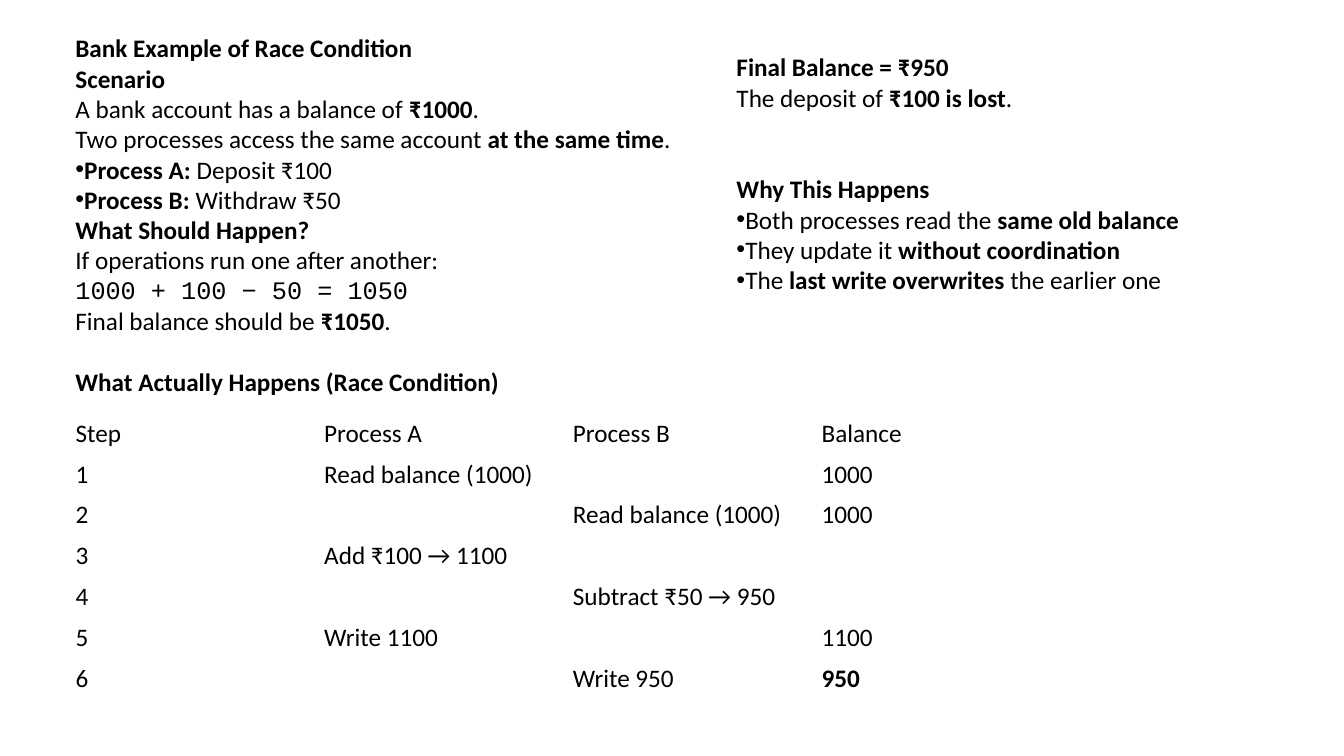
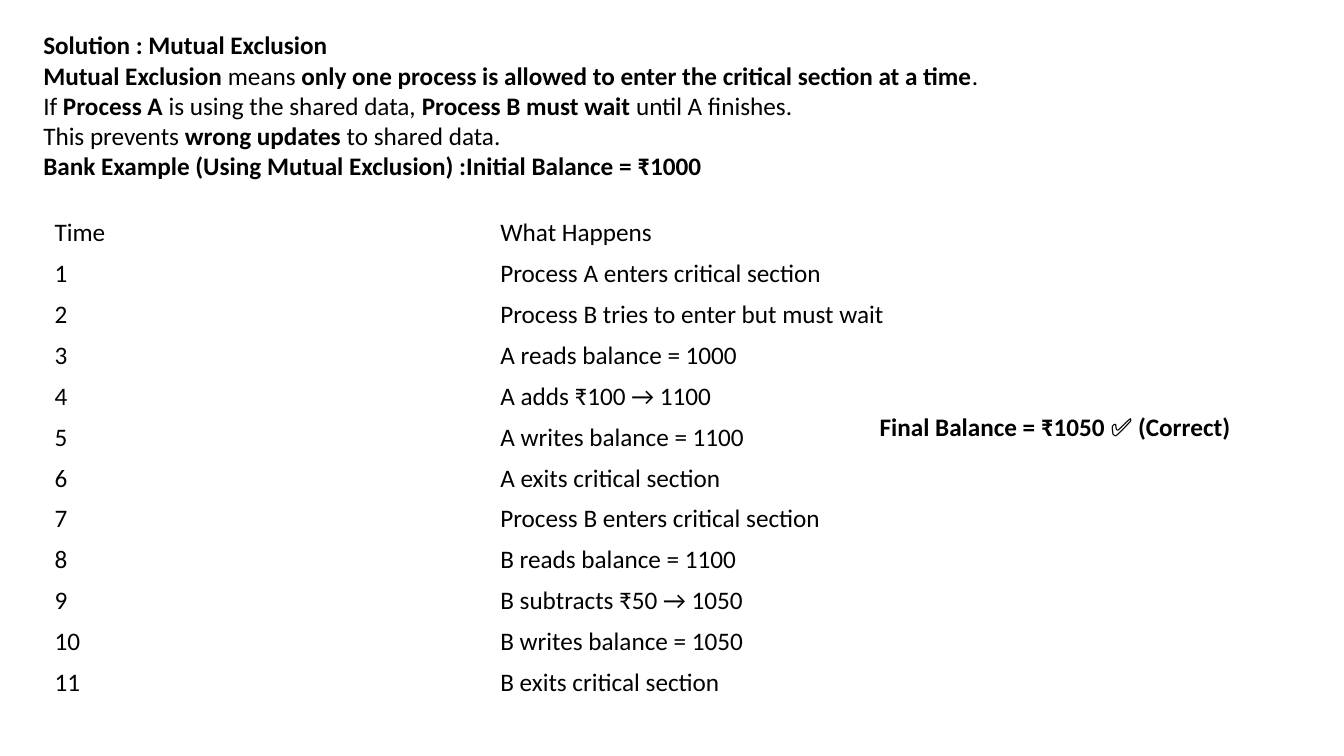
import dataclasses
import pptx
import pptx.dml.color
import pptx.enum.text
import pptx.oxml.ns
import pptx.util
import lxml.etree

Cm, Pt = pptx.util.Cm, pptx.util.Pt
ENUM = pptx.enum.text


@dataclasses.dataclass(frozen=True)
class Theme:
    """Hold the shared colours, fonts, sizes and spacing."""
    ink: str = "000000"
    paper: str = "FFFFFF"
    sans: str = "Calibri"
    mono: str = "Courier New"
    size: float = 18
    gap: float = 22
    line: float = 0.77
    row: float = 1.02


LOOK = Theme()
FRAME = {
    "word_wrap": True,
    "auto_size": ENUM.MSO_AUTO_SIZE.NONE,
    "vertical_anchor": ENUM.MSO_ANCHOR.TOP,
    "margin_left": Cm(0.25),
    "margin_right": Cm(0.25),
    "margin_top": 0,
    "margin_bottom": 0,
}
PARA = {
    "alignment": ENUM.PP_ALIGN.LEFT,
    "line_spacing": 1.0,
    "space_before": Pt(0),
    "space_after": Pt(0),
}
KINDS = {
    "text": {},
    "list": {},
    "code": {},
    "part": {"space_before": Pt(LOOK.gap)},
    "break": {"space_before": Pt(2 * LOOK.gap)},
}

BANK = {
    "head": "Bank Example of Race Condition",
    "left": [
        ("text", "*Scenario*"),
        ("text", "A bank account has a balance of *₹1000*."),
        ("text", "Two processes access the same account *at the same time*."),
        ("list", "*Process A:* Deposit ₹100"),
        ("list", "*Process B:* Withdraw ₹50"),
        ("text", "*What Should Happen?*"),
        ("text", "If operations run one after another:"),
        ("code", "1000 + 100 − 50 = 1050"),
        ("text", "Final balance should be *₹1050*."),
        ("part", "*What Actually Happens (Race Condition)*"),
    ],
    "right": [
        ("text", "*Final Balance = ₹950*"),
        ("text", "The deposit of *₹100 is lost*."),
        ("break", "*Why This Happens*"),
        ("list", "Both processes read the *same old balance*"),
        ("list", "They update it *without coordination*"),
        ("list", "The *last write overwrites* the earlier one"),
    ],
    "rows": [
        ("Step", "Process A", "Process B", "Balance"),
        ("1", "Read balance (1000)", "", "1000"),
        ("2", "", "Read balance (1000)", "1000"),
        ("3", "Add ₹100 → 1100", "", ""),
        ("4", "", "Subtract ₹50 → 950", ""),
        ("5", "Write 1100", "", "1100"),
        ("6", "", "Write 950", "*950*"),
    ],
}
MUTEX = {
    "head": "Solution : Mutual Exclusion",
    "body": [
        ("text", "*Mutual Exclusion* means *only one process is allowed to enter"
                 " the critical section at a time*."),
        ("text", "If *Process A* is using the shared data, *Process B must wait*"
                 " until A finishes."),
        ("text", "This prevents *wrong updates* to shared data."),
        ("text", "*Bank Example (Using Mutual Exclusion) :Initial Balance = ₹1000*"),
    ],
    "steps": [
        "Process A enters critical section",
        "Process B tries to enter but must wait",
        "A reads balance = 1000",
        "A adds ₹100 → 1100",
        "A writes balance = 1100",
        "A exits critical section",
        "Process B enters critical section",
        "B reads balance = 1100",
        "B subtracts ₹50 → 1050",
        "B writes balance = 1050",
        "B exits critical section",
    ],
    "note": "*Final Balance = ₹1050 ✅ (Correct)*",
}


def style(item, form):
    """Set each attribute named in a dict of format values."""
    for name, value in form.items():
        setattr(item, name, value)


def bullet(para, shown):
    """Show or hide the bullet, flush with the text."""
    props = para._p.get_or_add_pPr()
    props.set("marL", "0")
    props.set("indent", "0")
    tag = pptx.oxml.ns.qn
    if shown:
        lxml.etree.SubElement(props, tag("a:buFont")).set("typeface", "Arial")
        lxml.etree.SubElement(props, tag("a:buChar")).set("char", "•")
    else:
        lxml.etree.SubElement(props, tag("a:buNone"))


def write(para, text, kind="text"):
    """Fill a paragraph, with the words between asterisks in bold."""
    style(para, PARA | KINDS[kind])
    bullet(para, kind == "list")
    face = LOOK.mono if kind == "code" else LOOK.sans
    for spot, words in enumerate(text.split("*")):
        if words:
            run = para.add_run()
            run.text = words
            style(run.font, {"name": face, "size": Pt(LOOK.size), "bold": spot % 2 == 1})
            run.font.color.rgb = pptx.dml.color.RGBColor.from_string(LOOK.ink)


def fill(shape, box, lines):
    """Place a text shape in its box and write its lines."""
    style(shape, dict(zip(("left", "top", "width", "height"), map(Cm, box))))
    frame = shape.text_frame
    style(frame, FRAME)
    for spot, (kind, text) in enumerate(lines):
        para = frame.add_paragraph() if spot else frame.paragraphs[0]
        write(para, text, kind)


def panel(slide, box, head, lines):
    """Stack the title and the first body inside one box."""
    left, top, width, height = box
    fill(slide.shapes.title, (left, top, width, LOOK.line), [("text", f"*{head}*")])
    body = (left, top + LOOK.line, width, height - LOOK.line)
    fill(slide.placeholders[1], body, lines)


def grid(slide, spot, width, rows):
    """Add a plain table with equal columns and rows."""
    size = Cm(width), Cm(LOOK.row * len(rows))
    table = slide.shapes.add_table(len(rows), len(rows[0]), *map(Cm, spot), *size).table
    style(table, {"first_row": False, "horz_banding": False})
    for y, row in enumerate(rows):
        for x, text in enumerate(row):
            cell = table.cell(y, x)
            cell.fill.background()
            cell.vertical_anchor = ENUM.MSO_ANCHOR.MIDDLE
            write(cell.text_frame.paragraphs[0], text)


def start(deck, layout):
    """Add a slide on a plain background."""
    slide = deck.slides.add_slide(deck.slide_layouts.get_by_name(layout))
    back = slide.background.fill
    back.solid()
    back.fore_color.rgb = pptx.dml.color.RGBColor.from_string(LOOK.paper)
    return slide


def bank(deck):
    """Build the slide on the race condition."""
    slide = start(deck, "Two Content")
    panel(slide, (1.65, 0.82, 16.03, 9.4), BANK["head"], BANK["left"])
    grid(slide, (1.65, 10.41), 25.07, BANK["rows"])
    fill(slide.placeholders[2], (18.31, 1.3, 13.5, 6.2), BANK["right"])


def mutex(deck):
    """Build the slide on mutual exclusion."""
    slide = start(deck, "Title and Content")
    panel(slide, (0.84, 0.74, 26.5, 4), MUTEX["head"], MUTEX["body"])
    steps = [(str(n), text) for n, text in enumerate(MUTEX["steps"], 1)]
    grid(slide, (1.12, 5.36), 22.47, [("Time", "What Happens")] + steps)
    note = slide.shapes.add_textbox(0, 0, 0, 0)
    fill(note, (21.92, 10.37, 11.25, LOOK.line), [("text", MUTEX["note"])])


def main():
    """Build and save the deck."""
    deck = pptx.Presentation()
    style(deck, {"slide_width": Cm(33.87), "slide_height": Cm(19.05)})
    bank(deck)
    mutex(deck)
    deck.save("out.pptx")


if __name__ == "__main__":
    main()
